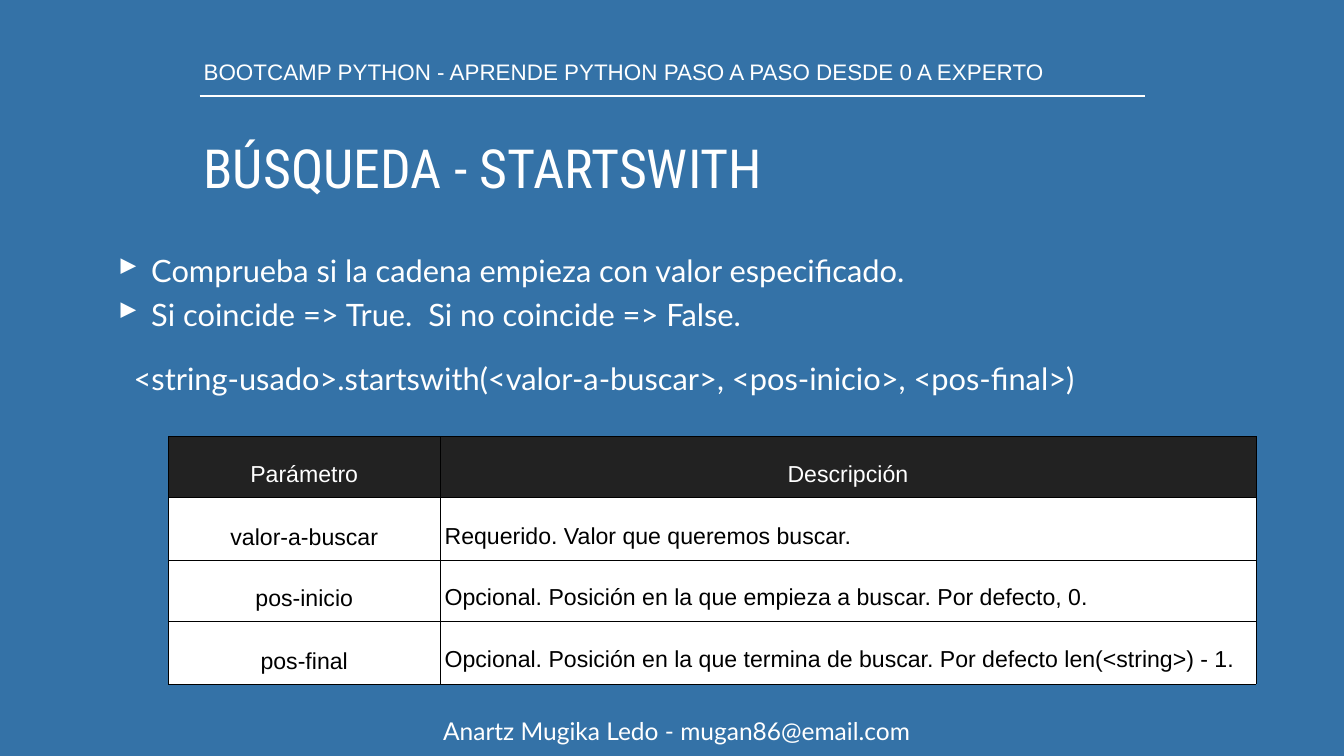
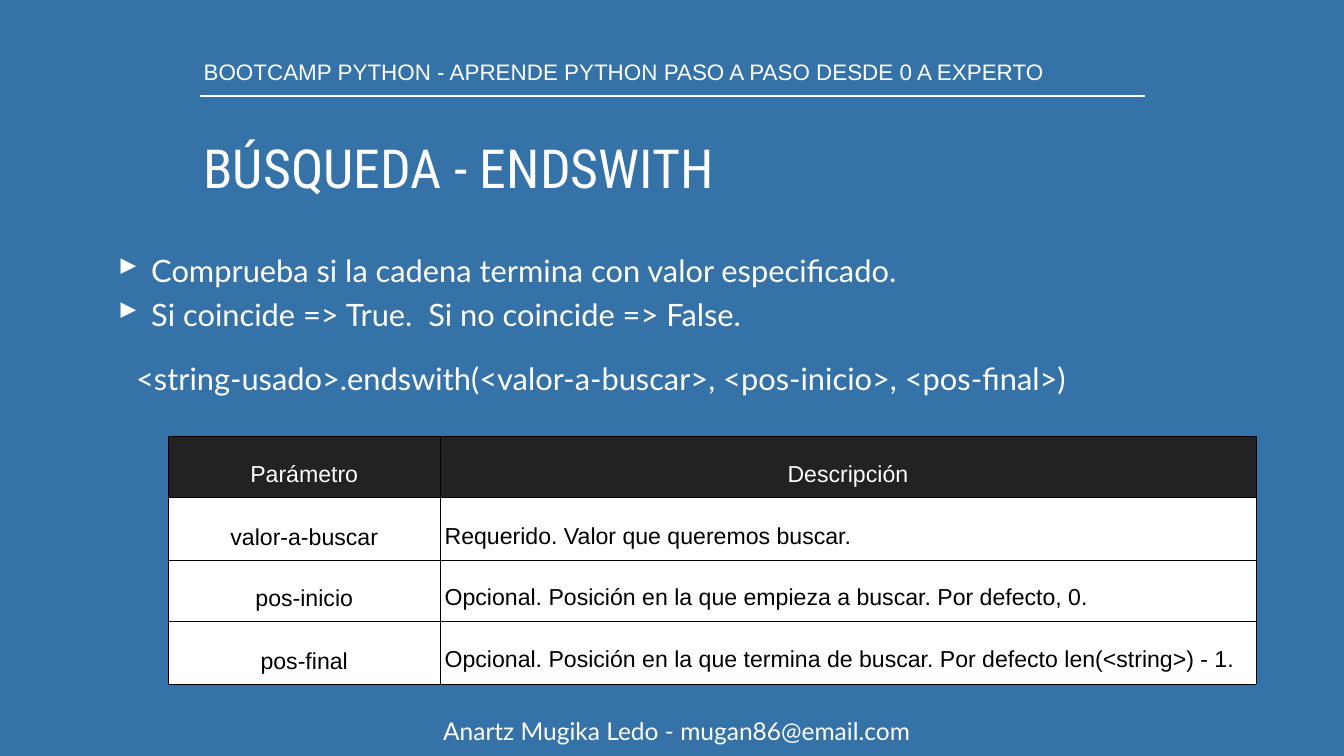
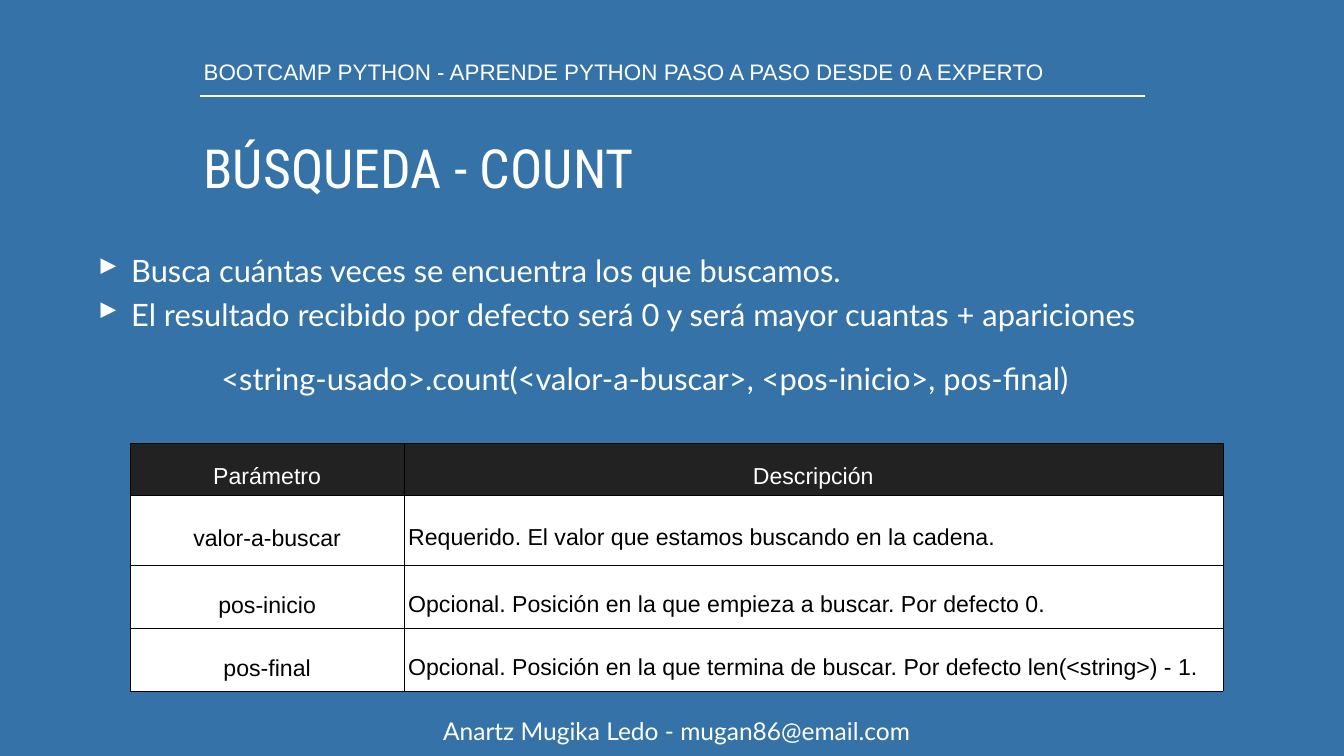
import pptx
import pptx.dml.color
import pptx.enum.dml
import pptx.enum.shapes
import pptx.enum.text
import pptx.oxml
import pptx.oxml.ns
import pptx.util
from lxml import etree

Pt = pptx.util.Pt
Align = pptx.enum.text.PP_ALIGN
Anchor = pptx.enum.text.MSO_ANCHOR
qn = pptx.oxml.ns.qn

# Content
COURSE = "BOOTCAMP PYTHON - APRENDE PYTHON PASO A PASO DESDE 0 A EXPERTO"
AUTHOR = "Anartz Mugika Ledo - mugan86@email.com"
HEAD = ("Parámetro", "Descripción")
MATCH = "Si coincide => True.  Si no coincide => False."
LAST = "Opcional. Posición en la que termina de buscar. Por defecto len(<string>) - 1."
SEARCH = [
    HEAD,
    ("valor-a-buscar", "Requerido. Valor que queremos buscar."),
    ("pos-inicio", "Opcional. Posición en la que empieza a buscar. Por defecto, 0."),
    ("pos-final", LAST),
]
COUNT = [
    HEAD,
    ("valor-a-buscar", "Requerido. El valor que estamos buscando en la cadena."),
    ("pos-inicio", "Opcional. Posición en la que empieza a buscar. Por defecto 0."),
    ("pos-final", LAST),
]

# Table place: left, top, column widths, row heights
WIDE = (240.5, 623.5, (388, 1165), (87, 89.5, 87, 90.5))
LOW = (186.5, 633.5, (390, 1170), (74, 100, 90, 90))

SLIDES = [
    dict(title="BÚSQUEDA - STARTSWITH", left=162.7,
         points=["Comprueba si la cadena empieza con valor especificado.", MATCH],
         call="<string-usado>.startswith(<valor-a-buscar>, <pos-inicio>, <pos-final>)",
         span=(185, 1438), rows=SEARCH, grid=WIDE),
    dict(title="BÚSQUEDA - ENDSWITH", left=162.7,
         points=["Comprueba si la cadena termina con valor especificado.", MATCH],
         call="<string-usado>.endswith(<valor-a-buscar>, <pos-inicio>, <pos-final>)",
         span=(188.6, 1421), rows=SEARCH, grid=WIDE),
    dict(title="BÚSQUEDA - COUNT", left=134,
         points=["Busca cuántas veces se encuentra los que buscamos.",
                 "El resultado recibido por defecto será 0 y será mayor cuantas + apariciones"],
         call="<string-usado>.count(<valor-a-buscar>, <pos-inicio>, pos-final)",
         span=(310.3, 1300), rows=COUNT, grid=LOW),
]

# Shared style
BLUE, WHITE, BLACK, DARK = "3472A7", "FFFFFF", "000000", "222222"
EDGE = 285
PAD = 5.8


def paint(fill, tone):
    fill.solid()
    fill.fore_color.rgb = pptx.dml.color.RGBColor.from_string(tone)


def style(para, size, face, tone=WHITE, align=Align.LEFT, line=None, before=0):
    para.alignment = align
    para.space_before = Pt(before)
    if line:
        para.line_spacing = line
    para.font.size = Pt(size)
    para.font.name = face
    paint(para.font.fill, tone)


def bullet(para):
    props = para._p.get_or_add_pPr()
    props.set("marL", str(Pt(47.5)))
    props.set("indent", str(-Pt(47.5)))
    tone = etree.SubElement(props, qn("a:buClr"))
    etree.SubElement(tone, qn("a:srgbClr"), val=WHITE)
    etree.SubElement(props, qn("a:buSzPct"), val="104000")
    etree.SubElement(props, qn("a:buChar"), char="▸")


def write(slide, box, lines, size, face, anchor=Anchor.MIDDLE, wrap=True,
          grow=True, marks=False, **look):
    frame = slide.shapes.add_textbox(*map(Pt, box)).text_frame
    frame.margin_left = frame.margin_right = Pt(PAD)
    frame.margin_top = frame.margin_bottom = Pt(PAD)
    frame.word_wrap = wrap
    frame.vertical_anchor = anchor
    fit = pptx.enum.text.MSO_AUTO_SIZE
    frame.auto_size = fit.SHAPE_TO_FIT_TEXT if grow else fit.NONE
    frame.text = "\n".join(lines)
    for para in frame.paragraphs:
        if marks:
            bullet(para)
        style(para, size, face, **look)


def rule(slide):
    kind = pptx.enum.shapes.MSO_CONNECTOR.STRAIGHT
    line = slide.shapes.add_connector(kind, Pt(EDGE), Pt(137), Pt(1635), Pt(137))
    paint(line.line.fill, WHITE)
    line.line.width = Pt(2)
    etree.SubElement(line._element.spPr, qn("a:effectLst"))


def border(cell):
    props = cell._tc.get_or_add_tcPr()
    for side in ("lnL", "lnR", "lnT", "lnB"):
        edge = etree.SubElement(props, qn("a:" + side), w=str(Pt(0.45)))
        fill = etree.SubElement(edge, qn("a:solidFill"))
        etree.SubElement(fill, qn("a:srgbClr"), val=BLACK)


def table(slide, rows, grid):
    left, top, wide, high = grid
    grid = slide.shapes.add_table(len(rows), len(wide), Pt(left), Pt(top),
                                  Pt(sum(wide)), Pt(sum(high))).table
    for col, size in zip(grid.columns, wide):
        col.width = Pt(size)
    for row, size in zip(grid.rows, high):
        row.height = Pt(size)
    for r, row in enumerate(rows):
        for c, text in enumerate(row):
            cell = grid.cell(r, c)
            border(cell)
            paint(cell.fill, WHITE if r else DARK)
            cell.margin_left = cell.margin_right = Pt(6.5)
            cell.margin_top = cell.margin_bottom = Pt(3.6)
            cell.vertical_anchor = Anchor.MIDDLE
            cell.text = text
            name = r > 0 and c == 0
            style(cell.text_frame.paragraphs[0], 33, "Arial",
                  tone=BLACK if r else WHITE,
                  align=Align.LEFT if r and c else Align.CENTER,
                  line=Pt(61 if name else 58), before=18 if name else 0)


def frame(slide, title):
    rule(slide)
    write(slide, (15, 1029, 1903, 40), [AUTHOR], 35, "Lato", Anchor.BOTTOM,
          align=Align.CENTER, line=0.7, before=39)
    write(slide, (EDGE, 204, 1405, 88.5), [title], 77, "Roboto Condensed",
          Anchor.TOP, grow=False, line=0.8, before=36)
    write(slide, (EDGE, 85.7, 1238, 41.8), [COURSE], 32, "Arial",
          Anchor.BOTTOM, line=0.8)


def main():
    deck = pptx.Presentation()
    deck.slide_width, deck.slide_height = Pt(1919.5), Pt(1080)
    paint(deck.slide_master.background.fill, BLUE)
    for part in SLIDES:
        slide = deck.slides.add_slide(deck.slide_layouts[6])
        frame(slide, part["title"])
        write(slide, (part["left"], 353.5, 1706, 126.7), part["points"], 44,
              "Lato", marks=True, before=10)
        left, wide = part["span"]
        write(slide, (left, 507.6, wide, 64), [part["call"]], 44, "Lato",
              wrap=False, before=10)
        table(slide, part["rows"], part["grid"])
    deck.save("out.pptx")


if __name__ == "__main__":
    main()
